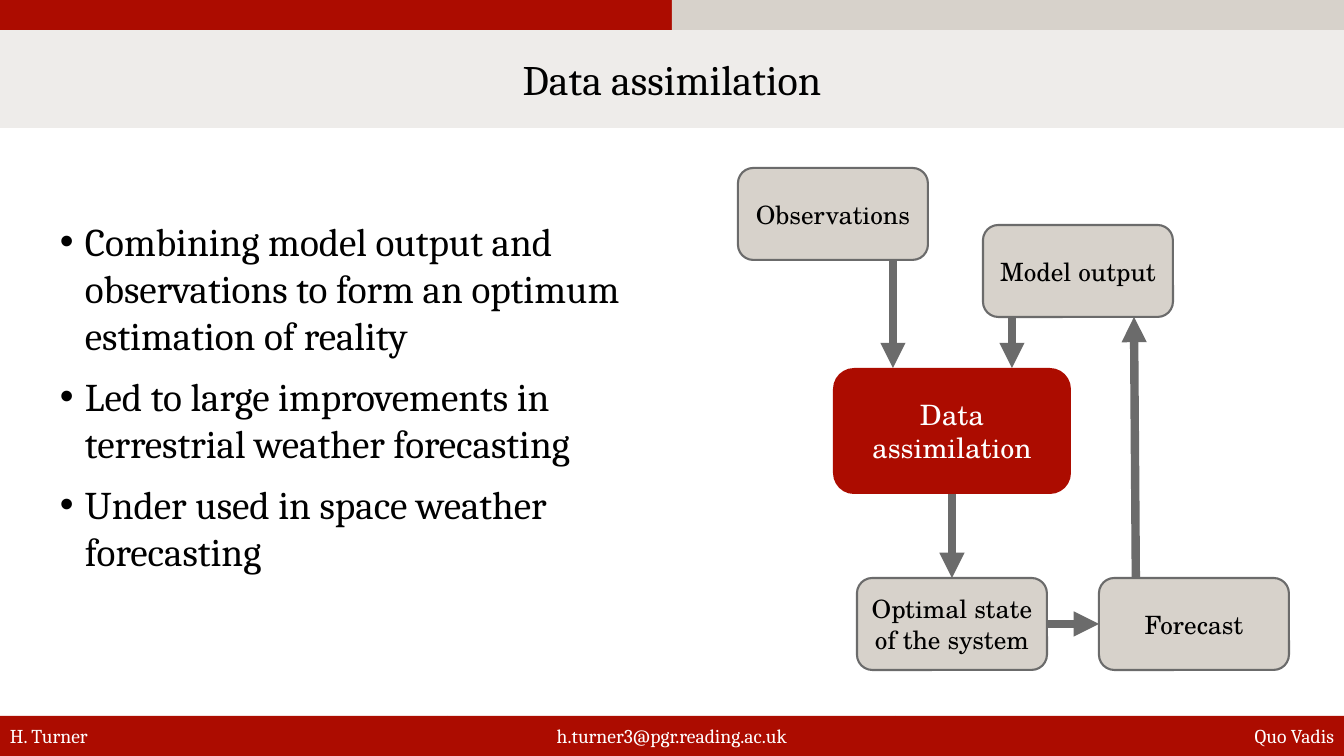
from lxml import etree
from pptx import Presentation
from pptx.dml.color import RGBColor
from pptx.enum.shapes import MSO_CONNECTOR, MSO_SHAPE
from pptx.enum.text import MSO_ANCHOR, PP_ALIGN
from pptx.oxml.ns import qn
from pptx.util import Emu, Pt

RECT, ROUNDED = MSO_SHAPE.RECTANGLE, MSO_SHAPE.ROUNDED_RECTANGLE
STRAIGHT = MSO_CONNECTOR.STRAIGHT
MIDDLE, TOP = MSO_ANCHOR.MIDDLE, MSO_ANCHOR.TOP
LEFT, CENTER, RIGHT = PP_ALIGN.LEFT, PP_ALIGN.CENTER, PP_ALIGN.RIGHT
SIDE_TOP, SIDE_LEFT, SIDE_BOTTOM, SIDE_RIGHT = range(4)

WIDTH, HEIGHT = 1344, 756
EMU_PER_PX = 12192000 / WIDTH
RED, SAND, PALE, GREY = "AC0C00", "D7D2CB", "EEECEA", "6B6B6B"
BLACK, WHITE = "000000", "FFFFFF"
SERIF, SCHOOLBOOK = "Cambria", "TeX Gyre Schola"

POINTS = [
    "Combining model output and observations to form an optimum estimation of reality",
    "Led to large improvements in terrestrial weather forecasting",
    "Under used in space weather forecasting",
]


def px(length):
    return Emu(round(length * EMU_PER_PX))


def color(hex_value):
    return RGBColor.from_string(hex_value)


def add_bullet(paragraph, indent=25):
    props = paragraph._p.get_or_add_pPr()
    props.set("marL", str(px(indent)))
    props.set("indent", str(px(-indent)))
    etree.SubElement(props, qn("a:buFont"), typeface="Arial")
    etree.SubElement(props, qn("a:buChar"), char="•")


def write(shape, *lines, size=18, font=SERIF, ink=BLACK, align=CENTER,
          anchor=MIDDLE, bullets=False, gap=0):
    frame = shape.text_frame
    frame.word_wrap = True
    frame.vertical_anchor = anchor
    for number, line in enumerate(lines):
        paragraph = frame.add_paragraph() if number else frame.paragraphs[0]
        paragraph.alignment = align
        if number and gap:
            paragraph.space_before = Pt(gap)
        if bullets:
            add_bullet(paragraph)
        run = paragraph.add_run()
        run.text = line
        run.font.size = Pt(size)
        run.font.name = font
        run.font.color.rgb = color(ink)


def add_box(slide, left, top, width, height, fill, kind=RECT, outline=None):
    box = slide.shapes.add_shape(kind, px(left), px(top), px(width), px(height))
    box.shadow.inherit = False
    box.fill.solid()
    box.fill.fore_color.rgb = color(fill)
    if outline:
        box.line.color.rgb = color(outline)
        box.line.width = Pt(1.5)
    else:
        box.line.fill.background()
    return box


def add_step(slide, label, left, top):
    step = add_box(slide, left, top, 190, 92, SAND, ROUNDED, GREY)
    write(step, label, font=SCHOOLBOOK)
    return step


def add_arrow(slide, x1=0, y1=0, x2=0, y2=0):
    arrow = slide.shapes.add_connector(STRAIGHT, px(x1), px(y1), px(x2), px(y2))
    arrow.line.color.rgb = color(GREY)
    arrow.line.width = Pt(6)
    etree.SubElement(arrow.line._get_or_add_ln(), qn("a:tailEnd"), type="triangle")
    etree.SubElement(arrow._element.spPr, qn("a:effectLst"))
    return arrow


def join(slide, start, start_side, end, end_side):
    arrow = add_arrow(slide)
    arrow.begin_connect(start, start_side)
    arrow.end_connect(end, end_side)


def add_frame(slide):
    # Top bars and title
    half = WIDTH // 2
    add_box(slide, 0, 0, half, 30, RED)
    add_box(slide, half, 0, half, 30, SAND)
    title = add_box(slide, 0, 30, WIDTH, 98, PALE)
    write(title, "Data assimilation", size=30)

    # Footer in thirds
    third = WIDTH // 3
    footer = [("H. Turner", LEFT), ("h.turner3@pgr.reading.ac.uk", CENTER),
              ("Quo Vadis", RIGHT)]
    for column, (label, align) in enumerate(footer):
        cell = add_box(slide, column * third, 716, third, 40, RED)
        write(cell, label, size=14, ink=WHITE, align=align)


def add_points(slide):
    points = slide.shapes.add_textbox(px(50), px(212), px(650), px(406))
    write(points, *POINTS, size=28, align=LEFT, anchor=TOP, bullets=True, gap=10)


def add_cycle(slide):
    # Arrows that start behind their boxes
    add_arrow(slide, 893, 245, 893, 368)
    add_arrow(slide, 1012, 305, 1012, 368)
    add_arrow(slide, 1136, 596, 1134, 317)

    # Steps
    add_step(slide, "Observations", 738, 168)
    add_step(slide, "Model output", 983, 225)
    optimal = add_step(slide, "Optimal state of the system", 857, 578)
    forecast = add_step(slide, "Forecast", 1099, 578)
    assimilation = add_box(slide, 833, 368, 238, 126, RED, ROUNDED)
    write(assimilation, "Data assimilation", size=20, font=SCHOOLBOOK, ink=WHITE)

    # Arrows joined at the middle of a side
    join(slide, assimilation, SIDE_BOTTOM, optimal, SIDE_TOP)
    join(slide, optimal, SIDE_RIGHT, forecast, SIDE_LEFT)


def main():
    deck = Presentation()
    deck.slide_width, deck.slide_height = px(WIDTH), px(HEIGHT)
    slide = deck.slides.add_slide(deck.slide_layouts[6])
    add_frame(slide)
    add_points(slide)
    add_cycle(slide)
    deck.save("out.pptx")


if __name__ == "__main__":
    main()
